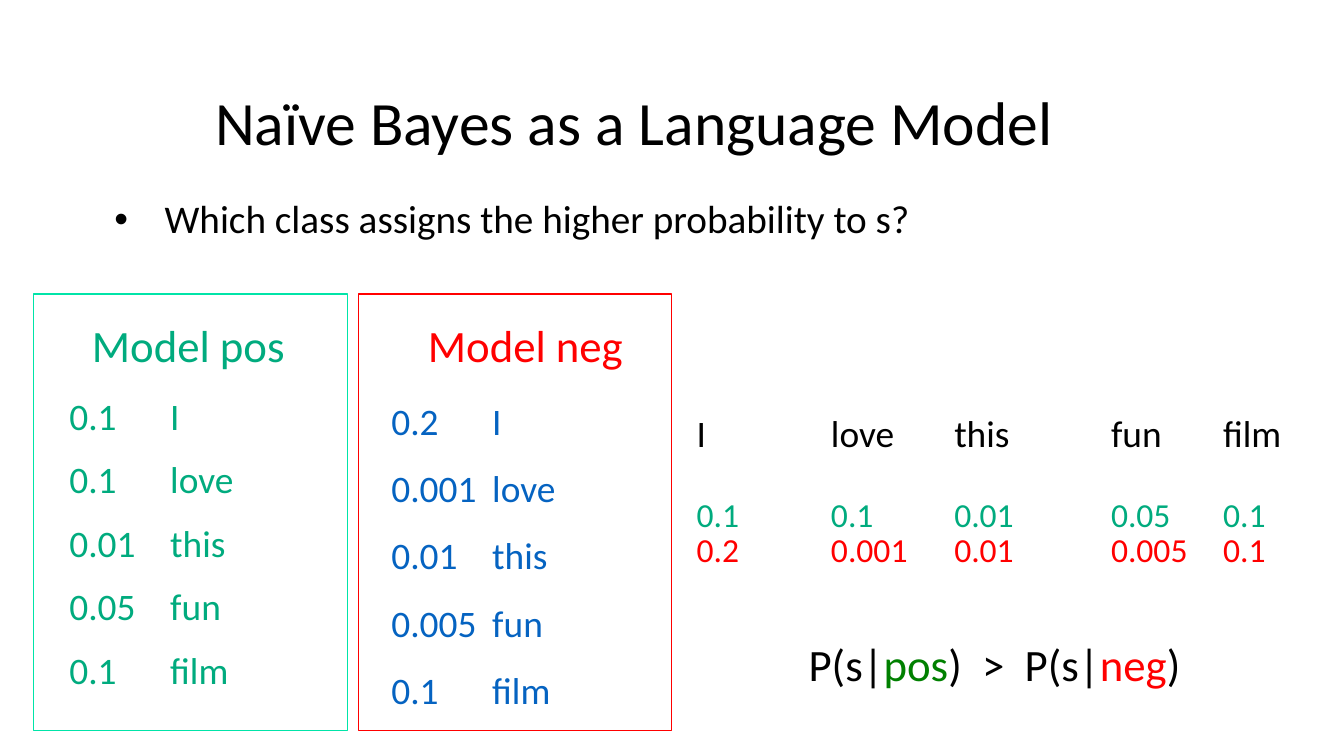
from lxml import etree
from pptx import Presentation
from pptx.dml.color import RGBColor
from pptx.enum.shapes import MSO_SHAPE
from pptx.enum.text import MSO_ANCHOR
from pptx.oxml.ns import qn
from pptx.util import Pt

RECTANGLE = MSO_SHAPE.RECTANGLE
TOP, BOTTOM = MSO_ANCHOR.TOP, MSO_ANCHOR.BOTTOM
BLACK = RGBColor(0x00, 0x00, 0x00)
TEAL = RGBColor(0x00, 0xAB, 0x7E)
MINT = RGBColor(0x00, 0xE4, 0xA8)
RED = RGBColor(0xFF, 0x00, 0x00)
BLUE = RGBColor(0x05, 0x63, 0xC1)
GREEN = RGBColor(0x00, 0x80, 0x00)
FONT = "Calibri"
WORDS = ["I", "love", "this", "fun", "film"]
POS_PROBS = ["0.1", "0.1", "0.01", "0.05", "0.1"]
NEG_PROBS = ["0.2", "0.001", "0.01", "0.005", "0.1"]


def style_run(r, size, color):
    r.font.name = FONT
    r.font.size = Pt(size)
    r.font.color.rgb = color


def add_text(s, box, lines, size, color, spacing=1.0, before=0, anchor=TOP):
    tf = s.shapes.add_textbox(*map(Pt, box)).text_frame
    tf.word_wrap = True
    tf.vertical_anchor = anchor
    tf.margin_left = tf.margin_right = Pt(9.6)
    tf.margin_top = tf.margin_bottom = Pt(4.8)
    tf.text = "\n".join(lines)
    for i, p in enumerate(tf.paragraphs):
        p.line_spacing = spacing
        p.space_before = Pt(before if i else 0)
        for r in p.runs:
            style_run(r, size, color)
    return tf


def add_tab_stop(p, position):
    tabs = etree.SubElement(p._p.get_or_add_pPr(), qn("a:tabLst"))
    etree.SubElement(tabs, qn("a:tab"), pos=str(Pt(position)), algn="l")


def add_title(s, box):
    add_text(s, box, ["Naïve Bayes as a Language Model"], 44, BLACK,
             spacing=0.9, anchor=BOTTOM)


def add_question(s, box):
    tf = add_text(s, box, ["Which class assigns the higher probability to s?"],
                  28, BLACK, spacing=0.9)
    pPr = tf.paragraphs[0]._p.get_or_add_pPr()
    pPr.set("marL", str(Pt(36)))
    pPr.set("indent", str(-Pt(36)))
    etree.SubElement(pPr, qn("a:buFont")).set("typeface", "Arial")
    etree.SubElement(pPr, qn("a:buChar")).set("char", "•")


def add_model(s, box, name, probs, border, name_color, list_color,
              name_left, list_offset, spacing, before):
    left, top, width, height = box
    frame = s.shapes.add_shape(RECTANGLE, *map(Pt, box))
    frame.shadow.inherit = False
    frame.fill.background()
    frame.line.color.rgb = border
    frame.line.width = Pt(0.75)
    add_text(s, (left + name_left, top + 12, 168, 48), [name], 32, name_color)
    dx, dy = list_offset
    rows = [f"{prob}\t{word}" for prob, word in zip(probs, WORDS)]
    tf = add_text(s, (left + dx, top + dy, width - dx, height - dy), rows,
                  26.7, list_color, spacing, before)
    for p in tf.paragraphs:
        add_tab_stop(p, 72)


def add_scores(s, box):
    left, top, width, height = box
    stops = [0, 96, 184, 296, 376, width]
    rows = [(0, WORDS, 26.7, BLACK), (60, POS_PROBS, 24, TEAL),
            (85, NEG_PROBS, 24, RED)]
    for dy, values, size, color in rows:
        for start, end, value in zip(stops, stops[1:], values):
            add_text(s, (left + start, top + dy, end - start, 40),
                     [value], size, color)


def add_conclusion(s, box):
    p = add_text(s, box, [""], 32, BLACK).paragraphs[0]
    parts = [("P(s|", BLACK), ("pos", GREEN), (")  >  P(s|", BLACK),
             ("neg", RED), (")", BLACK)]
    for text, color in parts:
        r = p.add_run()
        r.text = text
        style_run(r, 32, color)


def main():
    prs = Presentation()
    prs.slide_width, prs.slide_height = Pt(960), Pt(540)
    s = prs.slides.add_slide(prs.slide_layouts[6])
    add_title(s, (144, 40, 784, 78))
    add_question(s, (72, 138, 816, 86))
    add_model(s, (24, 210, 224, 312), "Model pos", POS_PROBS, MINT, TEAL, TEAL,
              name_left=32, list_offset=(16, 66), spacing=1.0, before=13.3)
    add_model(s, (256, 210, 224, 312), "Model neg", NEG_PROBS, RED, RED, BLUE,
              name_left=40, list_offset=(14, 53.5), spacing=1.5, before=0)
    add_scores(s, (488, 288, 472, 125))
    add_conclusion(s, (568, 450, 304, 48))
    prs.save("out.pptx")


if __name__ == "__main__":
    main()
